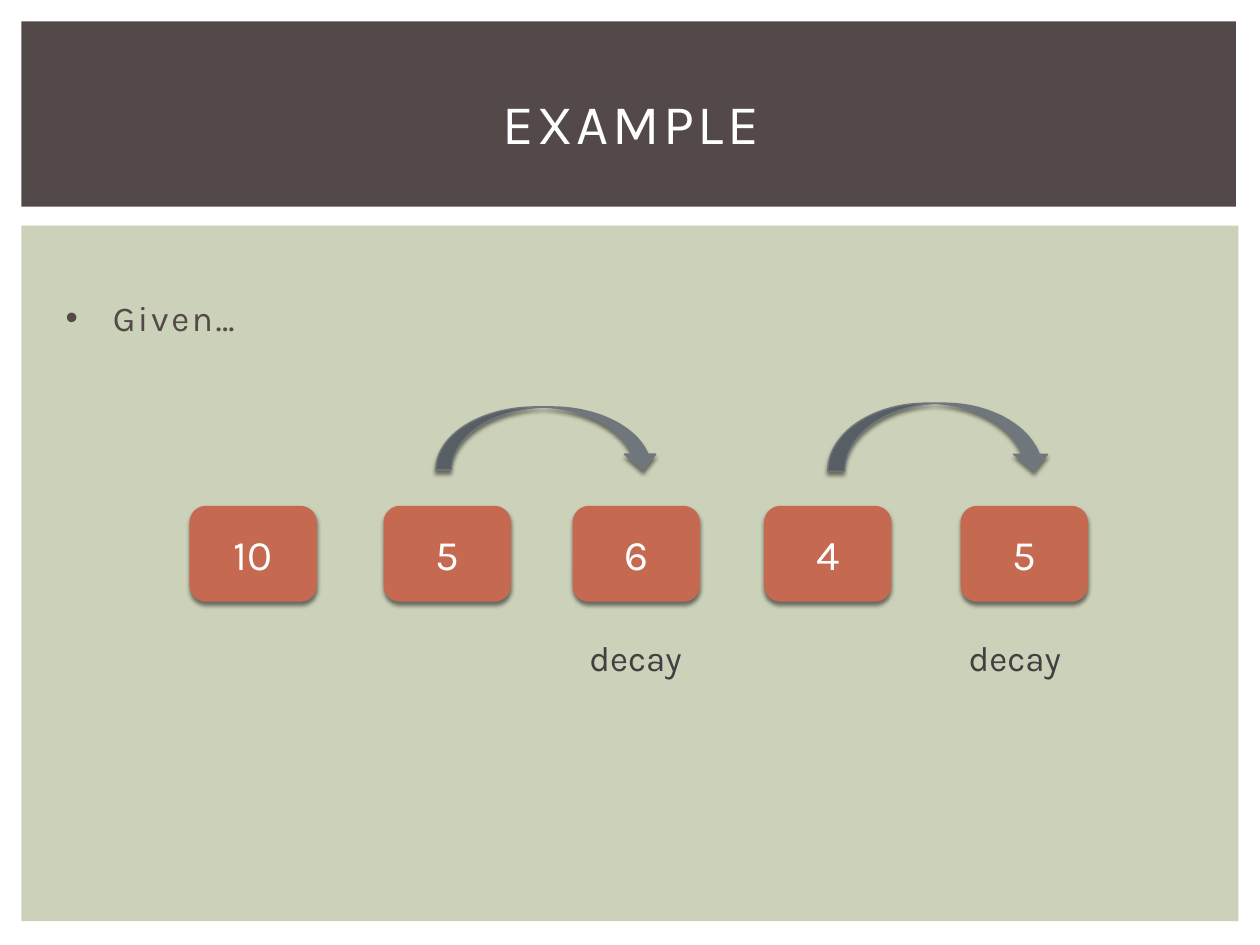
import pptx
import pptx.util
import pptx.oxml
from pptx.dml.color import RGBColor
from pptx.enum.shapes import MSO_SHAPE
from pptx.enum.text import MSO_ANCHOR, MSO_AUTO_SIZE, PP_ALIGN
from pptx.oxml.ns import nsdecls

PX = 9144
FONT = "Karla"
WHITE = RGBColor(0xFF, 0xFF, 0xFF)
SAGE = RGBColor(0xCC, 0xD1, 0xB9)
BROWN = RGBColor(0x53, 0x49, 0x49)
RUST = RGBColor(0xC6, 0x69, 0x51)
SLATE = RGBColor(0x6F, 0x77, 0x7D)
CHARCOAL = RGBColor(0x40, 0x40, 0x40)

VALUES = [("10", 151), ("5", 305), ("6", 455), ("4", 607), ("5", 763)]
JUMPS = [(346, 323, 50), (657, 320, 54)]
DECAY_LEFTS = [447, 748]


def emu(*lengths):
    """Turn px lengths into EMU."""
    return [length * PX for length in lengths]


def place(shape, box):
    """Move a shape to a px box."""
    shape.left, shape.top, shape.width, shape.height = emu(*box)


def write(shape, text, size, color, align, spacing=0):
    """Write one formatted paragraph into a shape."""
    frame = shape.text_frame
    frame.text = text
    frame.word_wrap = True
    frame.auto_size = MSO_AUTO_SIZE.NONE
    paragraph = frame.paragraphs[0]
    paragraph.alignment = align
    paragraph.space_before = pptx.util.Pt(0)
    font = paragraph.runs[0].font
    font.name, font.size = FONT, pptx.util.Pt(size)
    font.color.rgb = color
    if spacing:
        font._element.set("spc", str(spacing))


def add_panel(slide, box, color, depth):
    """Add a flat background panel at a given depth."""
    panel = slide.shapes.add_shape(MSO_SHAPE.RECTANGLE, *emu(*box))
    panel.shadow.inherit = False
    panel.fill.solid()
    panel.fill.fore_color.rgb = color
    panel.line.fill.background()
    slide.shapes._spTree.insert(2 + depth, panel._element)


def add_raised(slide, kind, box, color):
    """Add a filled shape with a soft shadow below it."""
    raised = slide.shapes.add_shape(kind, *emu(*box))
    raised.fill.solid()
    raised.fill.fore_color.rgb = color
    raised.line.color.rgb = color
    raised.line.width = pptx.util.Pt(0.79)
    raised._element.spPr.append(pptx.oxml.parse_xml(
        f'<a:effectLst {nsdecls("a")}>'
        '<a:outerShdw blurRad="31750" dist="25400" dir="5400000" rotWithShape="0">'
        '<a:srgbClr val="000000"><a:alpha val="50000"/></a:srgbClr>'
        '</a:outerShdw></a:effectLst>'))
    return raised


def build_header(slide, box):
    """Build the dark band with the centred title."""
    left, top, width, height = box
    add_panel(slide, box, BROWN, 1)
    title = slide.shapes.title
    place(title, (left + 25, top + 22, width - 47, height - 32))
    write(title, "EXAMPLE", 32, WHITE, PP_ALIGN.CENTER, 200)
    title.text_frame.vertical_anchor = MSO_ANCHOR.MIDDLE


def build_premise(slide, box):
    """Build the content panel with its bulleted line."""
    left, top, width, height = box
    add_panel(slide, box, SAGE, 0)
    premise = slide.placeholders[1]
    place(premise, (left + 25, top + 51, width - 47, height - 112))
    premise.text_frame.text = "Given…"
    properties = premise.text_frame.paragraphs[0]._p.get_or_add_pPr()
    properties.set("marL", str(30 * PX))
    properties.set("indent", str(-25 * PX))
    for bullet in (f'<a:buClr {nsdecls("a")}><a:srgbClr val="{RUST}"/></a:buClr>',
                   f'<a:buFont {nsdecls("a")} typeface="Arial"/>',
                   f'<a:buChar {nsdecls("a")} char="■"/>'):
        properties.append(pptx.oxml.parse_xml(bullet))
    write(premise, "Given…", 20, BROWN, PP_ALIGN.LEFT, 150)


def build_sequence(slide, box):
    """Build the number tiles, the jumps above and the decay labels below."""
    left, top, width, height = box
    for value, tile_left in VALUES:
        tile = add_raised(slide, MSO_SHAPE.ROUNDED_RECTANGLE,
                          (tile_left, top + 82, 100, 75), RUST)
        write(tile, value, 24, WHITE, PP_ALIGN.CENTER)
        tile.text_frame.vertical_anchor = MSO_ANCHOR.MIDDLE
    for jump_left, jump_top, jump_height in JUMPS:
        add_raised(slide, MSO_SHAPE.CURVED_DOWN_ARROW,
                   (jump_left, jump_top, 177, jump_height), SLATE)
    for label_left in DECAY_LEFTS:
        label = slide.shapes.add_textbox(
            *emu(label_left, top + height - 44, 115, 44))
        write(label, "decay", 20, CHARCOAL, PP_ALIGN.CENTER)


def main():
    """Build and save the slide."""
    deck = pptx.Presentation()
    deck.slide_width, deck.slide_height = emu(1000, 750)
    slide = deck.slides.add_slide(deck.slide_layouts[1])
    build_premise(slide, (17, 179, 966, 552))
    build_header(slide, (17, 17, 964, 147))
    build_sequence(slide, (151, 320, 712, 224))
    deck.save("out.pptx")


if __name__ == "__main__":
    main()
